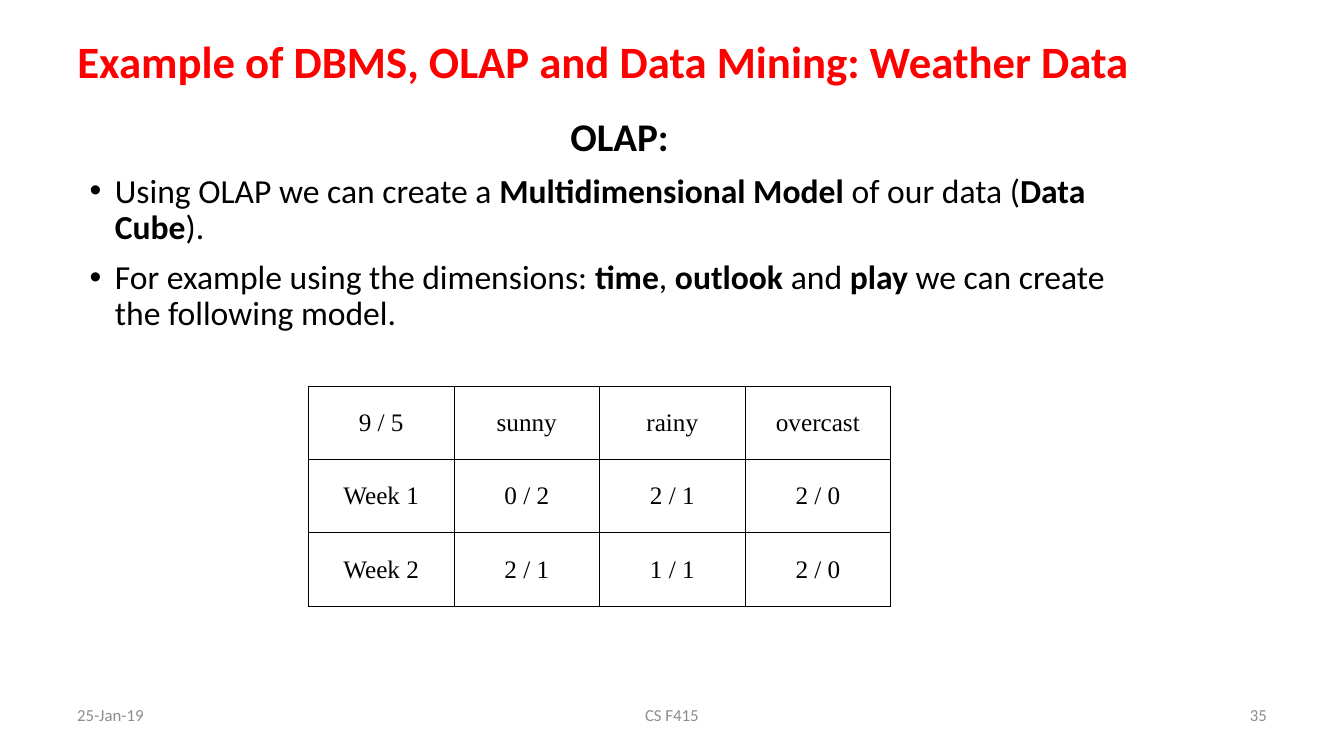
"""Build the weather data OLAP slide."""
from dataclasses import dataclass
from typing import Optional

from lxml.etree import SubElement
from pptx import Presentation
from pptx.dml.color import RGBColor
from pptx.enum.text import MSO_ANCHOR as Anchor, MSO_AUTO_SIZE as AutoSize, PP_ALIGN as Align
from pptx.oxml.ns import qn
from pptx.util import Pt

BLACK, RED, GREY = "000000", "FF0000", "8C8C8C"


@dataclass(frozen=True)
class Style:
    size: float
    color: str = BLACK
    font: str = "Calibri"


@dataclass(frozen=True)
class Span:
    text: str
    bold: bool = False


@dataclass(frozen=True)
class Footer:
    text: str
    left: float
    width: float
    align: Align


TITLE, HEADING, BODY = Style(32, RED), Style(28), Style(24)
CELL, FOOT = Style(18, font="Times New Roman"), Style(12, GREY)

BULLETS = [
    [Span("Using OLAP we can create a "), Span("Multidimensional Model", True),
     Span(" of our data ("), Span("Data Cube", True), Span(").")],
    [Span("For example using the dimensions: "), Span("time", True), Span(", "),
     Span("outlook", True), Span(" and "), Span("play", True),
     Span(" we can create the following model.")],
]
CUBE = [
    ["9 / 5", "sunny", "rainy", "overcast"],
    ["Week 1", "0 / 2", "2 / 1", "2 / 0"],
    ["Week 2", "2 / 1", "1 / 1", "2 / 0"],
]
COLUMN_WIDTH, ROW_HEIGHT = 104, 52.4
FOOTERS = [
    Footer("25-Jan-19", 48, 224, Align.LEFT),
    Footer("CS F415", 328, 304, Align.CENTER),
    Footer("35", 688, 224, Align.RIGHT),
]


def rgb(color: str) -> RGBColor:
    return RGBColor.from_string(color)


def write(para, spans: list[Span], style: Style, align: Align = Align.LEFT,
          line_spacing: Optional[float] = None, before: float = 0) -> None:
    para.alignment = align
    para.space_before = Pt(before)
    if line_spacing:
        para.line_spacing = line_spacing
    for span in spans:
        run = para.add_run()
        run.text = span.text
        run.font.name = style.font
        run.font.size = Pt(style.size)
        run.font.bold = span.bold
        run.font.color.rgb = rgb(style.color)


def add_bullet(para) -> None:
    properties = para._p.get_or_add_pPr()
    properties.set("marL", str(Pt(18)))
    properties.set("indent", str(Pt(-18)))
    SubElement(properties, qn("a:buFont"), typeface="Arial")
    SubElement(properties, qn("a:buChar"), char="•")


def add_box(slide, left: float, top: float, width: float, height: float,
            anchor: Anchor = Anchor.TOP):
    frame = slide.shapes.add_textbox(Pt(left), Pt(top), Pt(width), Pt(height)).text_frame
    frame.word_wrap = True
    frame.vertical_anchor = anchor
    return frame


def add_borders(cell, color: str, width: float) -> None:
    properties = cell._tc.get_or_add_tcPr()
    for side in ("lnL", "lnR", "lnT", "lnB"):
        line = SubElement(properties, qn(f"a:{side}"), w=str(Pt(width)))
        fill = SubElement(line, qn("a:solidFill"))
        SubElement(fill, qn("a:srgbClr"), val=color)


def add_title(slide, text: str) -> None:
    title = slide.shapes.title
    title.left, title.top, title.width, title.height = Pt(48), Pt(21.6), Pt(864), Pt(47.5)
    frame = title.text_frame
    frame.auto_size = AutoSize.NONE
    frame.vertical_anchor = Anchor.MIDDLE
    write(frame.paragraphs[0], [Span(text, True)], TITLE, line_spacing=0.9)


def add_body(slide) -> None:
    frame = add_box(slide, 57, 80.6, 771, 183)
    write(frame.paragraphs[0], [Span("OLAP:", True)], HEADING, Align.CENTER, 0.9, 10)
    for spans in BULLETS:
        para = frame.add_paragraph()
        write(para, spans, BODY, line_spacing=0.9, before=10)
        add_bullet(para)


def add_cube(slide) -> None:
    rows, columns = len(CUBE), len(CUBE[0])
    table = slide.shapes.add_table(rows, columns, Pt(220.3), Pt(275.8),
                                   Pt(columns * COLUMN_WIDTH), Pt(rows * ROW_HEIGHT)).table
    table.first_row = table.horz_banding = False
    for column in table.columns:
        column.width = Pt(COLUMN_WIDTH)
    for row, texts in zip(table.rows, CUBE):
        row.height = Pt(ROW_HEIGHT)
        for cell, text in zip(row.cells, texts):
            add_borders(cell, BLACK, 0.75)
            cell.fill.background()
            cell.vertical_anchor = Anchor.MIDDLE
            write(cell.text_frame.paragraphs[0], [Span(text)], CELL, Align.CENTER)


def main() -> None:
    deck = Presentation()
    deck.slide_width, deck.slide_height = Pt(960), Pt(540)
    slide = deck.slides.add_slide(deck.slide_layouts.get_by_name("Title Only"))
    add_title(slide, "Example of DBMS, OLAP and Data Mining: Weather Data")
    add_body(slide)
    add_cube(slide)
    for footer in FOOTERS:
        frame = add_box(slide, footer.left, 492, footer.width, 37.4, Anchor.MIDDLE)
        write(frame.paragraphs[0], [Span(footer.text)], FOOT, footer.align)
    deck.save("out.pptx")


main()
